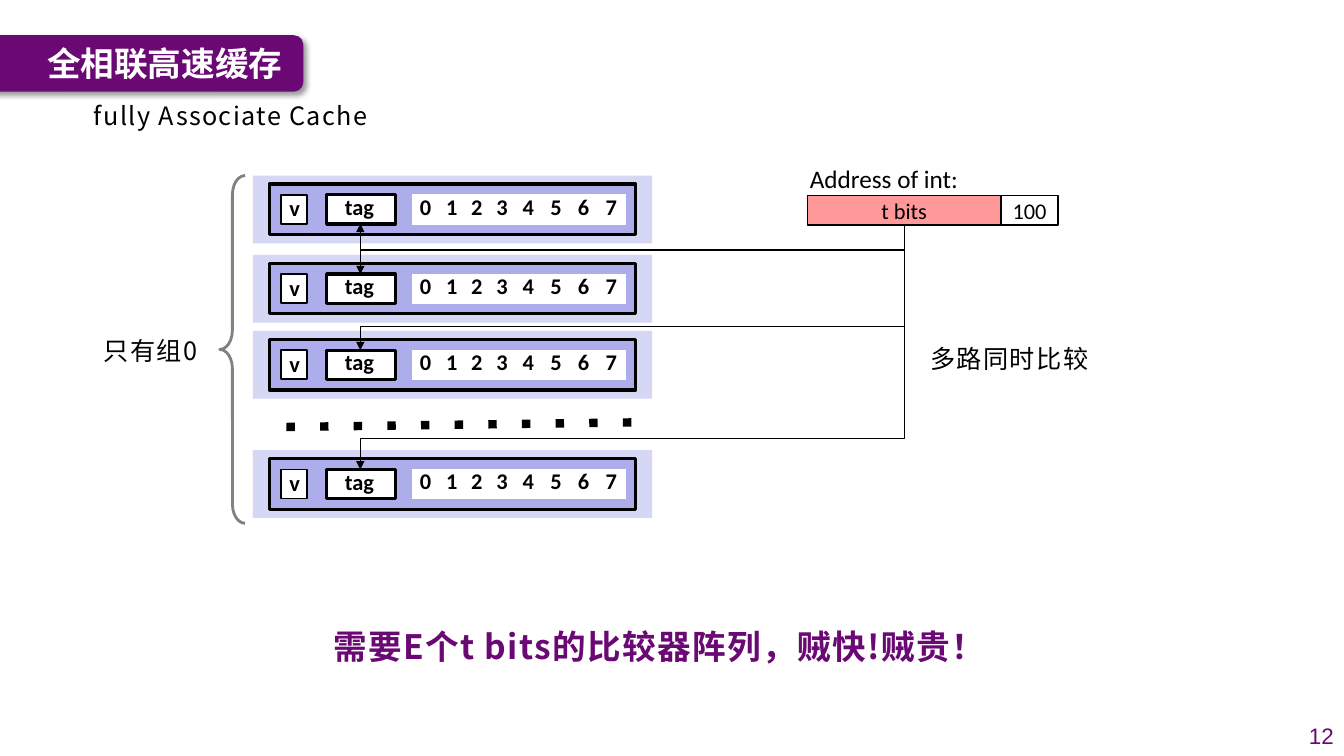
"""Build the slide on the fully associative cache."""
from dataclasses import dataclass

from lxml.etree import SubElement
from pptx import Presentation
from pptx.dml.color import RGBColor
from pptx.enum.shapes import MSO_CONNECTOR, MSO_SHAPE
from pptx.enum.text import MSO_ANCHOR, PP_ALIGN
from pptx.oxml.ns import qn
from pptx.util import Pt


@dataclass(frozen=True)
class Theme:
    purple: str = "6A0874"
    black: str = "000000"
    white: str = "FFFFFF"
    pale: str = "D6D6F5"
    mid: str = "ADADEB"
    pink: str = "FF9999"
    gray: str = "818181"
    large: int = 24
    body: int = 18
    small: int = 16
    latin: str = "Calibri"
    hans: str = "Noto Sans CJK SC"
    plain: str = "Arial"


theme = Theme()
deck = Presentation()
deck.slide_width, deck.slide_height = Pt(960), Pt(540)
slide = deck.slides.add_slide(deck.slide_layouts[6])
shapes = slide.shapes


def write(frame, text, size, color=theme.black, face=theme.latin, bold=False,
          align=PP_ALIGN.LEFT, indent=0, pitch=None, track=0):
    """Fill a text frame with one styled paragraph."""
    frame.text = text
    para = frame.paragraphs[0]
    para.alignment = align
    if pitch:
        para.line_spacing = Pt(pitch)
    props = para._p.get_or_add_pPr()
    props.set("marL", str(Pt(indent)))
    font = para.font
    font.size, font.bold, font.name = Pt(size), bold, face
    font.color.rgb = RGBColor.from_string(color)
    chars = props.find(qn("a:defRPr"))
    chars.set("spc", str(track * 100))
    SubElement(chars, qn("a:ea"), typeface=face)


def block(left, top, width, height, fill, edge=0, kind=MSO_SHAPE.RECTANGLE):
    """Add a filled shape with zero insets and an optional black edge."""
    shape = shapes.add_shape(kind, Pt(left), Pt(top), Pt(width), Pt(height))
    shape.shadow.inherit = False
    shape.fill.solid()
    shape.fill.fore_color.rgb = RGBColor.from_string(fill)
    if edge:
        shape.line.width = Pt(edge)
        shape.line.color.rgb = RGBColor.from_string(theme.black)
    else:
        shape.line.fill.background()
    frame = shape.text_frame
    frame.margin_left = frame.margin_right = 0
    frame.margin_top = frame.margin_bottom = 0
    frame.vertical_anchor = MSO_ANCHOR.TOP
    return shape


banner = block(-11.5, 25.2, 228.2, 40.3, theme.purple, kind=MSO_SHAPE.ROUNDED_RECTANGLE)
glow = SubElement(banner._element.spPr.find(qn("a:effectLst")), qn("a:outerShdw"),
                  blurRad=str(Pt(4)), dist=str(Pt(3)), dir="2700000",
                  algn="tl", rotWithShape="0")
SubElement(SubElement(glow, qn("a:srgbClr"), val=theme.black), qn("a:alpha"), val="40000")

tops = [125.4, 182, 236.4, 321.6]
widths = [18.7, 18, 18, 18.7] + [19.8] * 4
for top in tops:
    block(180.7, top, 285.1, 48.4, theme.pale)
    block(192.4, top + 6, 261.6, 36.2, theme.mid, 2.25)
    tag = block(233.3, top + 13.8, 49, 20.8, theme.white, 2.25)
    write(tag.text_frame, "tag", theme.small, bold=True, indent=13, pitch=17.9)
    valid = block(200.9, top + 13.8, 18.7, 20.8, theme.white, 1.25)
    write(valid.text_frame, "v", theme.small, bold=True, indent=5.8, pitch=18.9)
    table = shapes.add_table(1, len(widths), Pt(294.5), Pt(top + 13.8),
                             Pt(sum(widths)), Pt(20.8)).table
    table.first_row = table.horz_banding = False
    for index, width in enumerate(widths):
        table.columns[index].width = Pt(width)
        cell = table.cell(0, index)
        cell.margin_left = cell.margin_right = 0
        cell.margin_top = cell.margin_bottom = 0
        cell.fill.solid()
        cell.fill.fore_color.rgb = RGBColor.from_string(theme.white)
        write(cell.text_frame, str(index), theme.small, bold=True, indent=5.4, pitch=18.9)

brace = shapes.add_shape(MSO_SHAPE.LEFT_BRACE, Pt(157), Pt(125.4), Pt(18), Pt(248.4))
brace.shadow.inherit = False
brace.fill.background()
brace.line.width = Pt(2)
brace.line.color.rgb = RGBColor.from_string(theme.gray)
brace.adjustments[0] = 0.76

parts = [("t bits", 576.7, 138.2, theme.pink), ("100", 714.9, 41, theme.white)]
for text, left, width, fill in parts:
    field = block(left, 139.7, width, 21.1, fill, 1)
    field.text_frame.vertical_anchor = MSO_ANCHOR.MIDDLE
    write(field.text_frame, text, theme.small, align=PP_ALIGN.CENTER)

start, right, left = 160.8, 645.8, 257.4
dots = shapes.add_connector(MSO_CONNECTOR.STRAIGHT, Pt(204.6), Pt(305), Pt(454), Pt(301.7))
wires = [(dots, 6)]
goals = [159.8] + [top + 13.8 for top in tops[1:]]
lanes = [178.6, 178.6, 233, 313.2]
for goal, lane in zip(goals, lanes):
    drop, span = goal - start, right - left
    mid, level = (left + right) / 2, (start + goal) / 2
    wire = shapes.add_connector(MSO_CONNECTOR.ELBOW,
                                Pt(mid - drop / 2), Pt(level - span / 2),
                                Pt(mid + drop / 2), Pt(level + span / 2))
    props = wire._element.spPr
    props.find(qn("a:xfrm")).set("rot", "5400000")
    bend = round((lane - start) / drop * 100000)
    SubElement(props.find(qn("a:prstGeom")).find(qn("a:avLst")), qn("a:gd"),
               name="adj1", fmla=f"val {bend}")
    wires.append((wire, 0.75))
for wire, weight in wires:
    wire.line.width = Pt(weight)
    wire.line.color.rgb = RGBColor.from_string(theme.black)
    props = wire._element.spPr
    stroke = props.find(qn("a:ln"))
    if wire is dots:
        SubElement(stroke, qn("a:prstDash"), val="dot")
    else:
        SubElement(stroke, qn("a:tailEnd"), type="triangle")
    SubElement(props, qn("a:effectLst"))

title = dict(size=theme.large, color=theme.white, face=theme.hans, bold=True)
note = dict(size=theme.body, face=theme.hans, track=1)
claim = dict(size=theme.large, color=theme.purple, face=theme.hans, bold=True, track=1)
label = dict(size=theme.body, align=PP_ALIGN.CENTER)
page = dict(size=theme.small, color=theme.purple, face=theme.plain, align=PP_ALIGN.RIGHT)
middle, upper = MSO_ANCHOR.MIDDLE, MSO_ANCHOR.TOP
texts = [
    ("全相联高速缓存", 26.6, 25.2, 190, 39.6, middle, title),
    ("fully Associate Cache", 60, 68.4, 218, 28.8, upper, note),
    ("只有组0", 67, 236.2, 83.5, 28.8, upper, note),
    ("Address of int:", 569.5, 113, 123.8, 28.8, upper, label),
    ("多路同时比较", 657.4, 242, 129.6, 28.8, upper, note),
    ("需要E个t bits的比较器阵列，贼快!贼贵！", 231, 443.5, 498.2, 36, upper, claim),
    ("12", 920.2, 511.2, 39.6, 28.8, middle, page),
]
for text, left, top, width, height, anchor, style in texts:
    frame = shapes.add_textbox(Pt(left), Pt(top), Pt(width), Pt(height)).text_frame
    frame.word_wrap = True
    frame.vertical_anchor = anchor
    write(frame, text, **style)

deck.save("out.pptx")
